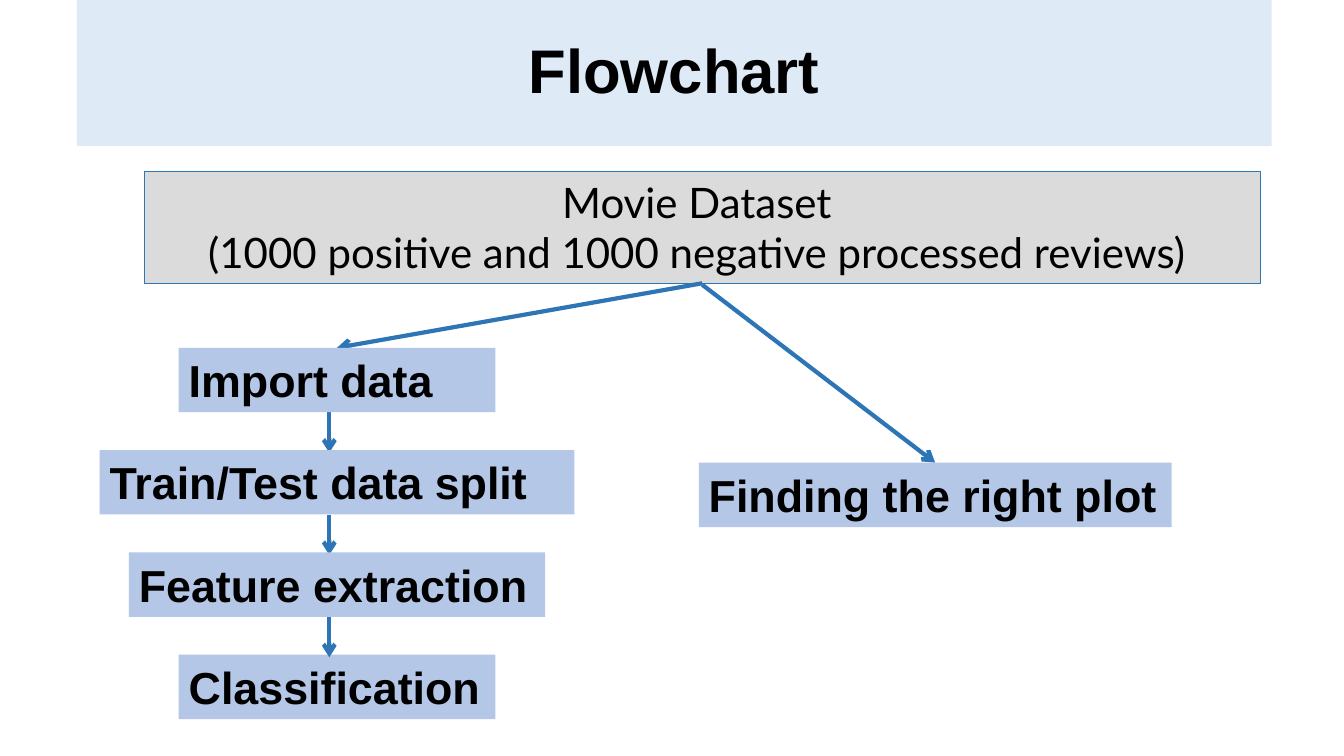
from dataclasses import dataclass

from lxml import etree
from pptx import Presentation
from pptx.dml.color import RGBColor
from pptx.enum.shapes import MSO_CONNECTOR, MSO_SHAPE
from pptx.enum.text import MSO_ANCHOR, PP_ALIGN
from pptx.oxml.ns import qn
from pptx.util import Inches, Pt

RECTANGLE = MSO_SHAPE.RECTANGLE
STRAIGHT = MSO_CONNECTOR.STRAIGHT
LEFT, CENTER = PP_ALIGN.LEFT, PP_ALIGN.CENTER
TOP, MIDDLE = MSO_ANCHOR.TOP, MSO_ANCHOR.MIDDLE

SLIDE_WIDTH, SLIDE_HEIGHT = Inches(13.33), Inches(7.5)
BLACK, BLUE = "000000", "2E75B6"
STEP_FILL, DATASET_FILL, BANNER_FILL = "B4C7E7", "DBDBDB", "DEEAF5"

# Process column, in percent of the slide
STEP_CENTER, STEP_TOP, STEP_PITCH, STEP_HEIGHT = 25.08, 46, 13.53, 8.53
STEP_ARROW_X, ARROW_OVERLAP = 24.5, 0.35


@dataclass(frozen=True)
class Box:
    """A labelled rectangle; lengths are percent of the slide."""
    label: str
    left: float
    top: float
    width: float
    height: float = STEP_HEIGHT
    fill: str = STEP_FILL
    outline: str = ""
    font: str = "Arial"
    size: int = 32
    bold: bool = True
    align: PP_ALIGN = LEFT
    wrap: bool = True


@dataclass(frozen=True)
class Arrow:
    """A straight arrow; lengths are percent of the slide."""
    from_x: float
    from_y: float
    to_x: float
    to_y: float


def color(hex_value: str) -> RGBColor:
    return RGBColor.from_string(hex_value)


def across(percent: float) -> int:
    return round(SLIDE_WIDTH * percent / 100)


def down(percent: float) -> int:
    return round(SLIDE_HEIGHT * percent / 100)


def write_label(shape, box: Box, anchor: MSO_ANCHOR) -> None:
    frame = shape.text_frame
    frame.text = box.label
    frame.word_wrap = box.wrap
    frame.vertical_anchor = anchor
    for paragraph in frame.paragraphs:
        paragraph.alignment = box.align
        for run in paragraph.runs:
            run.font.name = box.font
            run.font.size = Pt(box.size)
            run.font.bold = box.bold
            run.font.color.rgb = color(BLACK)


def draw_box(slide, box: Box) -> None:
    shape = slide.shapes.add_shape(RECTANGLE, across(box.left), down(box.top),
                                   across(box.width), down(box.height))
    shape.shadow.inherit = False
    shape.fill.solid()
    shape.fill.fore_color.rgb = color(box.fill)
    if box.outline:
        shape.line.color.rgb = color(box.outline)
        shape.line.width = Pt(0.75)
    else:
        shape.line.fill.background()
    write_label(shape, box, TOP)


def draw_arrow(slide, arrow: Arrow) -> None:
    connector = slide.shapes.add_connector(
        STRAIGHT, across(arrow.from_x), down(arrow.from_y),
        across(arrow.to_x), down(arrow.to_y))
    connector.line.color.rgb = color(BLUE)
    connector.line.width = Pt(3)
    line = connector.line._get_or_add_ln()
    etree.SubElement(line, qn("a:tailEnd"), type="arrow")
    etree.SubElement(connector._element.spPr, qn("a:effectLst"))


def draw_banner(slide, banner: Box) -> None:
    title = slide.shapes.title
    title.left, title.top = across(banner.left), down(banner.top)
    title.width, title.height = across(banner.width), down(banner.height)
    title.fill.solid()
    title.fill.fore_color.rgb = color(banner.fill)
    write_label(title, banner, MIDDLE)
    title.text_frame.paragraphs[0].line_spacing = 0.9


def step_top(row: int) -> float:
    return STEP_TOP + row * STEP_PITCH


def main() -> None:
    presentation = Presentation()
    presentation.slide_width = SLIDE_WIDTH
    presentation.slide_height = SLIDE_HEIGHT
    slide = presentation.slides.add_slide(presentation.slide_layouts[5])

    # Title banner
    draw_banner(slide, Box("Flowchart", 5.72, 0, 88.9, 19.33,
                           fill=BANNER_FILL, size=44, align=CENTER))

    # Dataset, process steps and plot search
    dataset = Box(
        "Movie Dataset \n(1000 positive and 1000 negative processed reviews) ",
        10.73, 22.67, 83.05, 14.8, fill=DATASET_FILL, outline=BLUE,
        font="Lato", size=30, bold=False, align=CENTER)
    step_widths = {"Import data": 23.56, "Train/Test data split": 35.33,
                   "Feature extraction": 30.98, "Classification": 23.56}
    steps = [Box(label, STEP_CENTER - width / 2, step_top(row), width)
             for row, (label, width) in enumerate(step_widths.items())]
    plot_search = Box("Finding the right plot", 51.99, 61.2, 35.18, wrap=False)

    # Arrows from the dataset and between consecutive steps
    dataset_x = dataset.left + dataset.width / 2
    dataset_bottom = dataset.top + dataset.height
    arrows = [
        Arrow(dataset_x, dataset_bottom, STEP_CENTER, STEP_TOP),
        Arrow(dataset_x, dataset_bottom + 0.2,
              plot_search.left + plot_search.width / 2, plot_search.top),
    ]
    arrows += [Arrow(STEP_ARROW_X, step.top + STEP_HEIGHT,
                     STEP_ARROW_X, following.top + ARROW_OVERLAP)
               for step, following in zip(steps, steps[1:])]

    # The last step and the dataset lie behind the arrows
    *upper_steps, last_step = steps
    for box in (last_step, dataset):
        draw_box(slide, box)
    for arrow in arrows:
        draw_arrow(slide, arrow)
    for box in (plot_search, *upper_steps):
        draw_box(slide, box)

    presentation.save("out.pptx")


if __name__ == "__main__":
    main()
